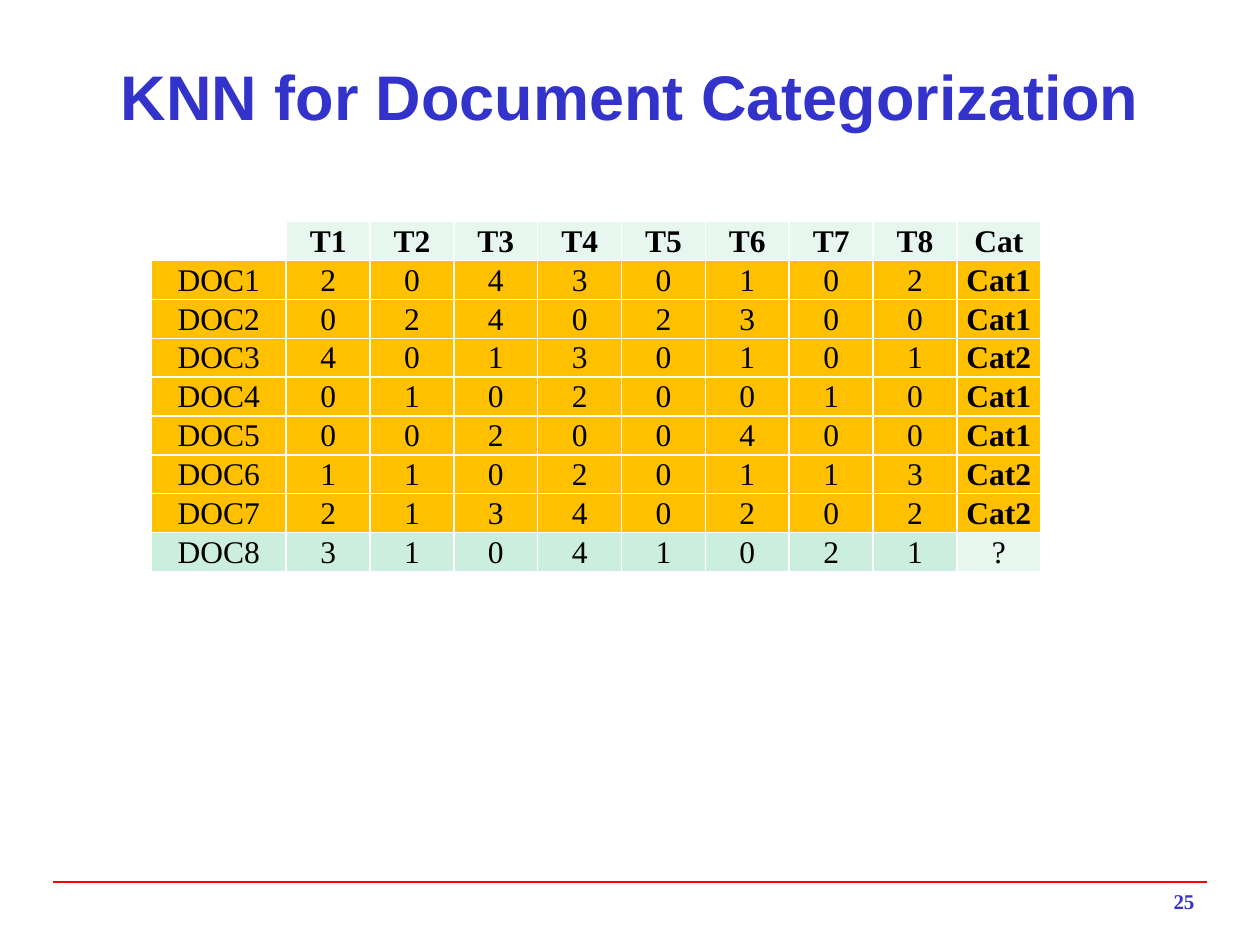
from dataclasses import dataclass

from lxml import etree
from pptx import Presentation
from pptx import util as u
from pptx.dml.color import RGBColor
from pptx.enum import shapes, text
from pptx.oxml import ns


@dataclass(frozen=True)
class Theme:
    heading_font: str = "Arial"
    body_font: str = "Times New Roman"
    title_size: int = 36
    table_size: int = 18
    number_size: int = 12
    accent: str = "3333CC"
    ink: str = "000000"
    rule: str = "FF0000"
    paper: str = "FFFFFF"
    pale: str = "E7F6EF"
    mint: str = "CCEEDF"
    amber: str = "FFC000"


class SlideBuilder:
    def __init__(self, slide, theme):
        self.slide = slide
        self.theme = theme

    def set_text(self, frame, content, font, size, color, bold, align):
        frame.text = content
        paragraph = frame.paragraphs[0]
        paragraph.alignment = align
        for run in paragraph.runs:
            run.font.name = font
            run.font.size = u.Pt(size)
            run.font.bold = bold
            run.font.color.rgb = RGBColor.from_string(color)

    def text_box(self, box, content, font, size, align, anchor):
        shape = self.slide.shapes.add_textbox(*map(u.Cm, box))
        frame = shape.text_frame
        frame.word_wrap = True
        frame.vertical_anchor = anchor
        self.set_text(frame, content, font, size, self.theme.accent, True, align)

    def line(self, left, right, y):
        connector = self.slide.shapes.add_connector(
            shapes.MSO_CONNECTOR.STRAIGHT, u.Cm(left), u.Cm(y), u.Cm(right), u.Cm(y))
        connector.line.color.rgb = RGBColor.from_string(self.theme.rule)
        connector.line.width = u.Pt(1)
        etree.SubElement(connector._element.spPr, ns.qn("a:effectLst"))

    def borders(self, cell):
        properties = cell._tc.get_or_add_tcPr()
        for position, side in enumerate(("lnL", "lnR", "lnT", "lnB")):
            border = etree.Element(ns.qn(f"a:{side}"), w=str(u.Pt(1)))
            fill = etree.SubElement(border, ns.qn("a:solidFill"))
            etree.SubElement(fill, ns.qn("a:srgbClr"), val=self.theme.paper)
            properties.insert(position, border)

    def cell(self, cell, content, fill, bold):
        cell.fill.solid()
        cell.fill.fore_color.rgb = RGBColor.from_string(fill)
        cell.margin_left = cell.margin_right = cell.margin_top = u.Cm(0.02)
        cell.margin_bottom = 0
        cell.vertical_anchor = text.MSO_ANCHOR.MIDDLE
        self.set_text(cell.text_frame, content, self.theme.body_font,
                      self.theme.table_size, self.theme.ink, bold, text.PP_ALIGN.CENTER)
        if not content:
            cell.text_frame.paragraphs[0].line_spacing = u.Pt(12)
        self.borders(cell)

    def table(self, left, top, widths, row_height, rows, fill_for, bold_for):
        shape = self.slide.shapes.add_table(
            len(rows), len(widths), u.Cm(left), u.Cm(top),
            u.Cm(sum(widths)), u.Cm(row_height * len(rows)))
        table = shape.table
        for column, width in zip(table.columns, widths):
            column.width = u.Cm(width)
        for row_index, values in enumerate(rows):
            table.rows[row_index].height = u.Cm(row_height)
            for column_index, value in enumerate(values):
                self.cell(table.cell(row_index, column_index), value,
                          fill_for(row_index, value), bold_for(row_index, value))


HEADER = ["", *(f"T{number}" for number in range(1, 9)), "Cat"]
TERM_COUNTS = [
    ("20430102", "Cat1"),
    ("02402300", "Cat1"),
    ("40130101", "Cat2"),
    ("01020010", "Cat1"),
    ("00200400", "Cat1"),
    ("11020113", "Cat2"),
    ("21340202", "Cat2"),
    ("31041021", "?"),
]


def main():
    theme = Theme()
    presentation = Presentation()
    presentation.slide_width = u.Cm(25.4)
    presentation.slide_height = u.Cm(19.05)
    slide = presentation.slides.add_slide(presentation.slide_layouts[6])
    builder = SlideBuilder(slide, theme)

    rows = [HEADER] + [
        [f"DOC{number}", *counts, category]
        for number, (counts, category) in enumerate(TERM_COUNTS, 1)]

    def fill_for(row_index, value):
        if not value:
            return theme.paper
        if row_index == 0 or value == "?":
            return theme.pale
        return theme.mint if row_index == len(TERM_COUNTS) else theme.amber

    def bold_for(row_index, value):
        return row_index == 0 or value.startswith("Cat")

    builder.line(1.07, 24.33, 17.78)
    builder.text_box((1.27, 1.07, 22.86, 1.7), "KNN for Document Categorization",
                     theme.heading_font, theme.title_size,
                     text.PP_ALIGN.CENTER, text.MSO_ANCHOR.MIDDLE)
    builder.text_box((19.05, 17.78, 5.28, 0.84), "25",
                     theme.body_font, theme.number_size,
                     text.PP_ALIGN.RIGHT, text.MSO_ANCHOR.TOP)
    builder.table(3.05, 4.47, [2.72] + [1.69] * 9, 0.73, rows, fill_for, bold_for)

    presentation.save("out.pptx")


if __name__ == "__main__":
    main()
